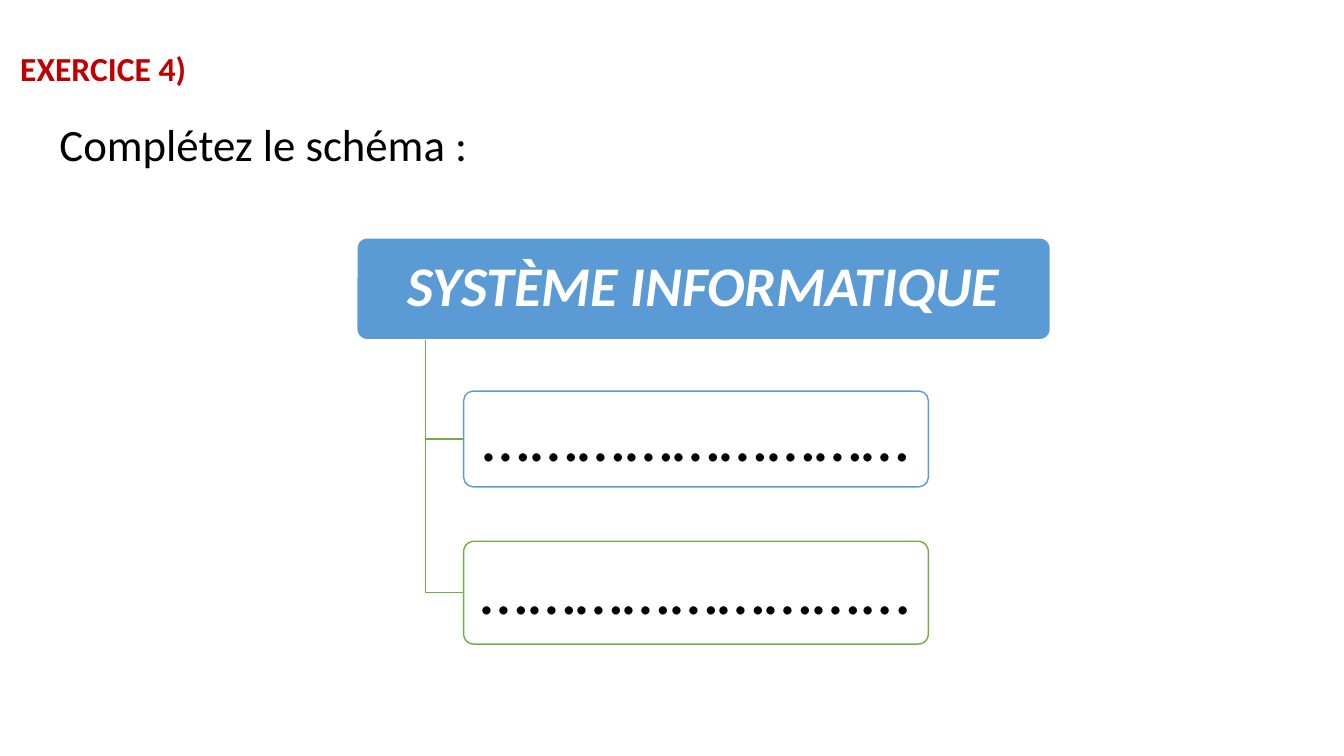
import pptx
import pptx.util
import pptx.dml.color
import pptx.enum.text
import pptx.enum.shapes

theme = {
    "font": "Calibri",
    "red": "C00000", "black": "000000", "white": "FFFFFF",
    "blue": "5B9BD5", "green": "70AD47",
    "title": 24, "task": 32, "root": 40, "leaf": 49, "line": 1,
}

deck = pptx.Presentation()
deck.slide_width = pptx.util.Inches(13.33)
deck.slide_height = pptx.util.Inches(7.5)
slide = deck.slides.add_slide(deck.slide_layouts[5])
shapes = slide.shapes
col = deck.slide_width / 100
row = deck.slide_height / 100
align = pptx.enum.text.PP_ALIGN
anchor = pptx.enum.text.MSO_ANCHOR


def shade(name):
    return pptx.dml.color.RGBColor.from_string(theme[name])


def write(shape, text, size, color, side, place, bold=False, slant=False):
    frame = shape.text_frame
    frame.text = text
    frame.word_wrap = True
    frame.auto_size = pptx.enum.text.MSO_AUTO_SIZE.NONE
    frame.vertical_anchor = place
    line = frame.paragraphs[0]
    line.alignment = side
    font = line.runs[0].font
    font.name = theme["font"]
    font.size = pptx.util.Pt(theme[size])
    font.color.rgb = shade(color)
    font.bold = bold
    font.italic = slant
    return frame


title = shapes.title
title.left, title.top = int(0.75 * col), int(5.73 * row)
title.width, title.height = int(14.93 * col), int(6.67 * row)
write(title, "EXERCICE 4)", "title", "red", align.LEFT, anchor.TOP, bold=True)

task = shapes.add_textbox(int(3.68 * col), int(14.8 * row), int(44.5 * col), int(8.53 * row))
write(task, "Complétez le schéma :", "task", "black", align.LEFT, anchor.TOP)

trunk, stem, twig = 31.65, 44.93, 34.5
nodes = [
    ("SYSTÈME INFORMATIQUE", 26.55, 31.47, 51.6, 13.47, "root", "blue", "white", "white", 0.08, 0.06),
    ("………………………", twig, 51.73, 34.58, 12.67, "leaf", "white", "blue", "black", 0.1, 0.07),
    ("……………………...", twig, 71.6, 34.58, 13.6, "leaf", "white", "green", "black", 0.1, 0.07),
]
for text, left, top, width, height, kind, fill, edge, ink, side, cap in nodes:
    if kind == "leaf":
        mid = top + height / 2
        pen = shapes.build_freeform(int(trunk * col), int(stem * row))
        pen.add_line_segments(
            [(int(trunk * col), int(mid * row)), (int(twig * col), int(mid * row))], close=False)
        branch = pen.convert_to_shape()
        branch.shadow.inherit = False
        branch.fill.background()
        branch.line.color.rgb = shade("green")
        branch.line.width = pptx.util.Pt(theme["line"])
    node = shapes.add_shape(
        pptx.enum.shapes.MSO_SHAPE.ROUNDED_RECTANGLE,
        int(left * col), int(top * row), int(width * col), int(height * row))
    node.adjustments[0] = 0.1
    node.shadow.inherit = False
    node.fill.solid()
    node.fill.fore_color.rgb = shade(fill)
    node.line.color.rgb = shade(edge)
    node.line.width = pptx.util.Pt(theme["line"])
    root = kind == "root"
    frame = write(node, text, kind, ink, align.CENTER, anchor.MIDDLE, bold=root, slant=root)
    frame.margin_left = frame.margin_right = pptx.util.Inches(side)
    frame.margin_top = frame.margin_bottom = pptx.util.Inches(cap)
    frame.paragraphs[0].line_spacing = 0.9

deck.save("out.pptx")
